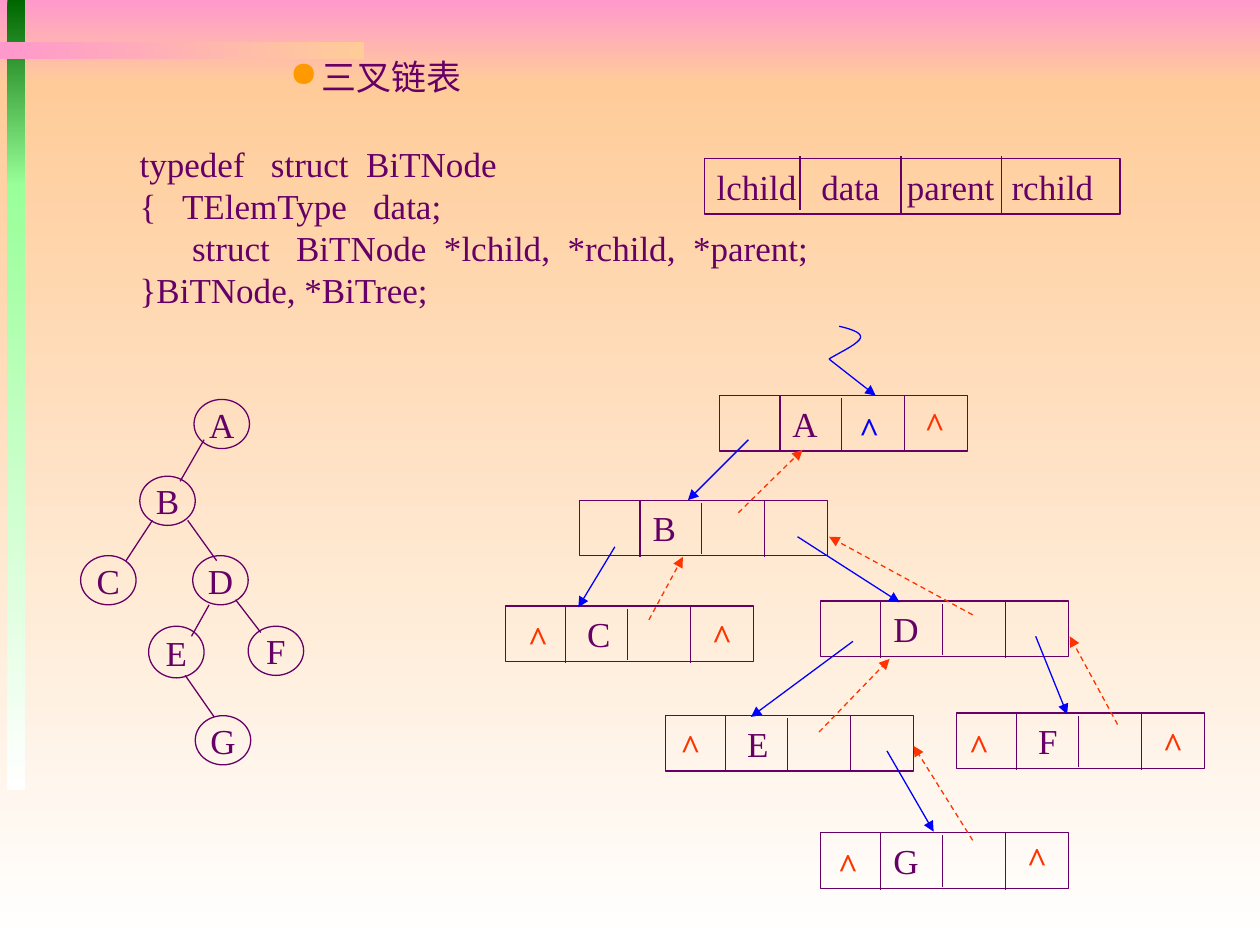
from typing import Any, NamedTuple

from lxml.etree import SubElement
from pptx import Presentation
from pptx.dml.color import RGBColor
from pptx.enum.dml import MSO_LINE
from pptx.enum.shapes import MSO_CONNECTOR, MSO_SHAPE as Preset
from pptx.enum.text import MSO_ANCHOR as Anchor, MSO_AUTO_SIZE as AutoSize, PP_ALIGN as Align
from pptx.oxml.ns import qn
from pptx.util import Cm, Length, Pt

COLORS = {
    "ink": "660066", "child": "0000FF", "parent": "FF3300", "bullet": "FF9900",
    "pink": "FF99CC", "peach": "FFCC99", "white": "FFFFFF",
    "forest": "006600", "mint": "99FF99",
}
Point = tuple[float, float]


class Band(NamedTuple):
    left: float
    top: float
    width: float
    height: float
    start: str
    end: str
    angle: int = 270


class TreeNode(NamedTuple):
    label: str
    left: float
    top: float
    height: float = 0.39


class Nil(NamedTuple):
    dx: float
    dy: float
    color: str = "parent"


class Record(NamedTuple):
    label: str
    left: float
    top: float
    label_dx: float
    nils: tuple[Nil, ...] = ()


class Link(NamedTuple):
    start: Point
    end: Point


BACKDROP = [
    Band(0, 0, 10, 0.67, "pink", "peach"),
    Band(0, 0.67, 10, 6.83, "peach", "white"),
    Band(0.06, 0, 0.14, 1.48, "forest", "mint"),
    Band(0.06, 1.46, 0.14, 4.81, "mint", "white"),
    Band(0, 0.33, 2.89, 0.14, "pink", "peach", 0),
]
CODE = """typedef   struct  BiTNode
{   TElemType   data;
      struct   BiTNode  *lchild,  *rchild,  *parent;
}BiTNode, *BiTree;"""
TREE_NODES = [
    TreeNode("A", 1.54, 3.17), TreeNode("B", 1.11, 3.78), TreeNode("C", 0.64, 4.41),
    TreeNode("D", 1.53, 4.41), TreeNode("E", 1.18, 4.97, 0.41),
    TreeNode("F", 1.97, 4.97), TreeNode("G", 1.55, 5.68),
]
TREE_EDGES = [
    Link((1.62, 3.49), (1.43, 3.82)), Link((1.21, 4.13), (1, 4.45)),
    Link((1.49, 4.13), (1.72, 4.45)), Link((1.66, 4.8), (1.52, 5.05)),
    Link((1.87, 4.76), (2.07, 5.02)), Link((1.47, 5.36), (1.7, 5.69)),
]
RECORDS = [
    Record("A", 5.71, 3.14, 0.58, (Nil(1.01, 0.04, "child"), Nil(1.53, 0))),
    Record("B", 4.6, 3.97, 0.58),
    Record("C", 4.01, 4.81, 0.65, (Nil(0.08, 0.03), Nil(1.54, 0.01))),
    Record("D", 6.51, 4.77, 0.58),
    Record("E", 5.28, 5.68, 0.65, (Nil(0.02, 0.02),)),
    Record("F", 7.59, 5.66, 0.65, (Nil(0, 0.04), Nil(1.54, 0.02))),
    Record("G", 6.51, 6.61, 0.58, (Nil(0.04, 0.03), Nil(1.54, -0.02))),
]
CELL_DIVIDERS = [(0.48, 0, 0.45), (0.97, 0.02, 0.43), (1.47, 0, 0.45)]
FIELD_DIVIDERS = [(6.35, 1.67), (7.15, 1.69), (7.95, 1.69)]
CHILD_LINKS = [
    Link((5.94, 3.49), (5.46, 3.97)), Link((4.88, 4.34), (4.59, 4.82)),
    Link((6.77, 5.09), (5.96, 5.69)), Link((6.33, 4.26), (7.14, 4.78)),
    Link((8.22, 5.05), (8.47, 5.67)), Link((7.04, 5.96), (7.41, 6.6)),
]
PARENT_LINKS = [
    Link((5.86, 4.07), (6.37, 3.57)), Link((5.15, 4.92), (5.42, 4.42)),
    Link((7.72, 4.88), (6.58, 4.26)), Link((6.5, 5.81), (7.06, 5.23)),
    Link((7.72, 6.67), (7.25, 5.92)), Link((8.87, 5.75), (8.49, 5.05)),
]
ROOT_CURVES = [
    ((6.66, 2.59), (6.75, 2.61), (6.84, 2.64), (6.83, 2.68)),
    ((6.83, 2.68), (6.82, 2.73), (6.62, 2.82), (6.58, 2.85)),
]


def cm(inches: float) -> Length:
    return Cm(inches * 2.54)


def rgb(color: str) -> RGBColor:
    return RGBColor.from_string(COLORS[color])


def write(frame: Any, text: str, color: str = "ink", font: str = "Times New Roman",
          align: Align = Align.LEFT, bold: bool = False) -> None:
    frame.text = text
    for paragraph in frame.paragraphs:
        paragraph.alignment = align
        for run in paragraph.runs:
            run.font.name, run.font.size, run.font.bold = font, Pt(20), bold
            run.font.color.rgb = rgb(color)


def draw_band(shapes: Any, band: Band) -> None:
    strip = shapes.add_shape(Preset.RECTANGLE, *map(cm, band[:4]))
    strip.shadow.inherit = False
    strip.line.fill.background()
    strip.fill.gradient()
    strip.fill.gradient_angle = band.angle
    for stop, color in zip(strip.fill.gradient_stops, (band.start, band.end)):
        stop.color.rgb = rgb(color)


def outline(shape: Any, color: str = "ink") -> None:
    shape.shadow.inherit = False
    shape.fill.background()
    shape.line.color.rgb = rgb(color)
    shape.line.width = Pt(0.75)


def draw_box(shapes: Any, preset: Preset, box: tuple[float, ...], text: str,
             align: Align = Align.LEFT, inset: float = 0.1, wrap: bool = True) -> Any:
    cell = shapes.add_shape(preset, *map(cm, box))
    outline(cell)
    frame = cell.text_frame
    frame.word_wrap, frame.vertical_anchor, frame.margin_left = wrap, Anchor.MIDDLE, cm(inset)
    write(frame, text, align=align)
    return cell


def draw_link(shapes: Any, link: Link, color: str = "ink", arrow: bool = False,
              dashed: bool = False) -> None:
    connector = shapes.add_connector(MSO_CONNECTOR.STRAIGHT, *map(cm, link.start + link.end))
    connector.line.color.rgb = rgb(color)
    connector.line.width = Pt(0.75)
    if dashed:
        connector.line.dash_style = MSO_LINE.DASH
    properties = connector._element.spPr
    if arrow:
        SubElement(properties.find(qn("a:ln")), qn("a:tailEnd"), type="triangle")
    SubElement(properties, qn("a:effectLst"))


def draw_text(shapes: Any, box: tuple[float, ...], text: str, **style: Any) -> Any:
    frame = shapes.add_textbox(*map(cm, box)).text_frame
    frame.word_wrap, frame.vertical_anchor = False, Anchor.MIDDLE
    frame.auto_size = AutoSize.SHAPE_TO_FIT_TEXT
    write(frame, text, **style)
    return frame


def draw_record(shapes: Any, record: Record) -> None:
    box = (record.left, record.top, 1.97, 0.44)
    draw_box(shapes, Preset.RECTANGLE, box, record.label, inset=record.label_dx)
    for dx, top, bottom in CELL_DIVIDERS:
        x = record.left + dx
        draw_link(shapes, Link((x, record.top + top), (x, record.top + bottom)))


def draw_title(slide: Any) -> None:
    title = slide.shapes.title
    title.left, title.top, title.width, title.height = map(cm, (0.7, 0.39, 9.3, 0.49))
    slide.shapes._spTree.append(title._element)
    frame = title.text_frame
    frame.vertical_anchor, frame.auto_size = Anchor.TOP, AutoSize.NONE
    write(frame, "三叉链表", font="Arial")
    properties = frame.paragraphs[0]._p.get_or_add_pPr()
    properties.set("marL", str(cm(1.75)))
    properties.set("indent", str(cm(-0.25)))
    SubElement(SubElement(properties, qn("a:buClr")), qn("a:srgbClr"), val=COLORS["bullet"])
    SubElement(properties, qn("a:buChar"), char="●")


def draw_fields(shapes: Any) -> None:
    fields = draw_box(shapes, Preset.RECTANGLE, (5.59, 1.26, 3.3, 0.44),
                      "lchild\tdata\tparent\trchild")
    tabs = SubElement(fields.text_frame.paragraphs[0]._p.get_or_add_pPr(), qn("a:tabLst"))
    for stop in (0.83, 1.51, 2.34):
        SubElement(tabs, qn("a:tab"), pos=str(cm(stop)), algn="l")
    for x, bottom in FIELD_DIVIDERS:
        draw_link(shapes, Link((x, 1.24), (x, bottom)))


def bezier(curve: tuple[Point, ...], t: float) -> Point:
    weights = ((1 - t) ** 3, 3 * t * (1 - t) ** 2, 3 * t * t * (1 - t), t ** 3)
    x, y = (sum(w * p[axis] for w, p in zip(weights, curve)) for axis in (0, 1))
    return cm(x), cm(y)


def draw_root_pointer(shapes: Any) -> None:
    builder = shapes.build_freeform(*bezier(ROOT_CURVES[0], 0))
    builder.add_line_segments(
        [bezier(curve, step / 10) for curve in ROOT_CURVES for step in range(1, 11)], close=False)
    outline(builder.convert_to_shape(), "child")
    draw_link(shapes, Link((6.58, 2.85), (6.95, 3.14)), "child", arrow=True)


def main() -> None:
    """Build the slide on the triple-linked storage of a binary tree."""
    deck = Presentation()
    deck.slide_width, deck.slide_height = cm(10), cm(7.5)
    slide = deck.slides.add_slide(deck.slide_layouts[5])
    shapes = slide.shapes
    for band in BACKDROP:
        draw_band(shapes, band)
    draw_title(slide)
    code = draw_text(shapes, (1.01, 1.08, 5.51, 1.44), CODE)
    for line in code.paragraphs:
        line.line_spacing = Pt(24)
    draw_fields(shapes.add_group_shape().shapes)
    tree = shapes.add_group_shape().shapes
    for node in TREE_NODES:
        draw_box(tree, Preset.OVAL, (node.left, node.top, 0.44, node.height), node.label,
                 Align.CENTER, wrap=False)
    for edge in TREE_EDGES:
        draw_link(tree, edge)
    records = shapes.add_group_shape().shapes
    for record in RECORDS:
        draw_record(records, record)
    for link in CHILD_LINKS:
        draw_link(shapes, link, "child", arrow=True)
    for link in PARENT_LINKS:
        draw_link(shapes, link, "parent", arrow=True, dashed=True)
    draw_root_pointer(shapes.add_group_shape().shapes)
    for record in RECORDS:
        for nil in record.nils:
            box = (record.left + nil.dx, record.top + nil.dy, 0.36, 0.44)
            draw_text(shapes, box, "^", color=nil.color, align=Align.CENTER, bold=True)
    deck.save("out.pptx")


if __name__ == "__main__":
    main()
